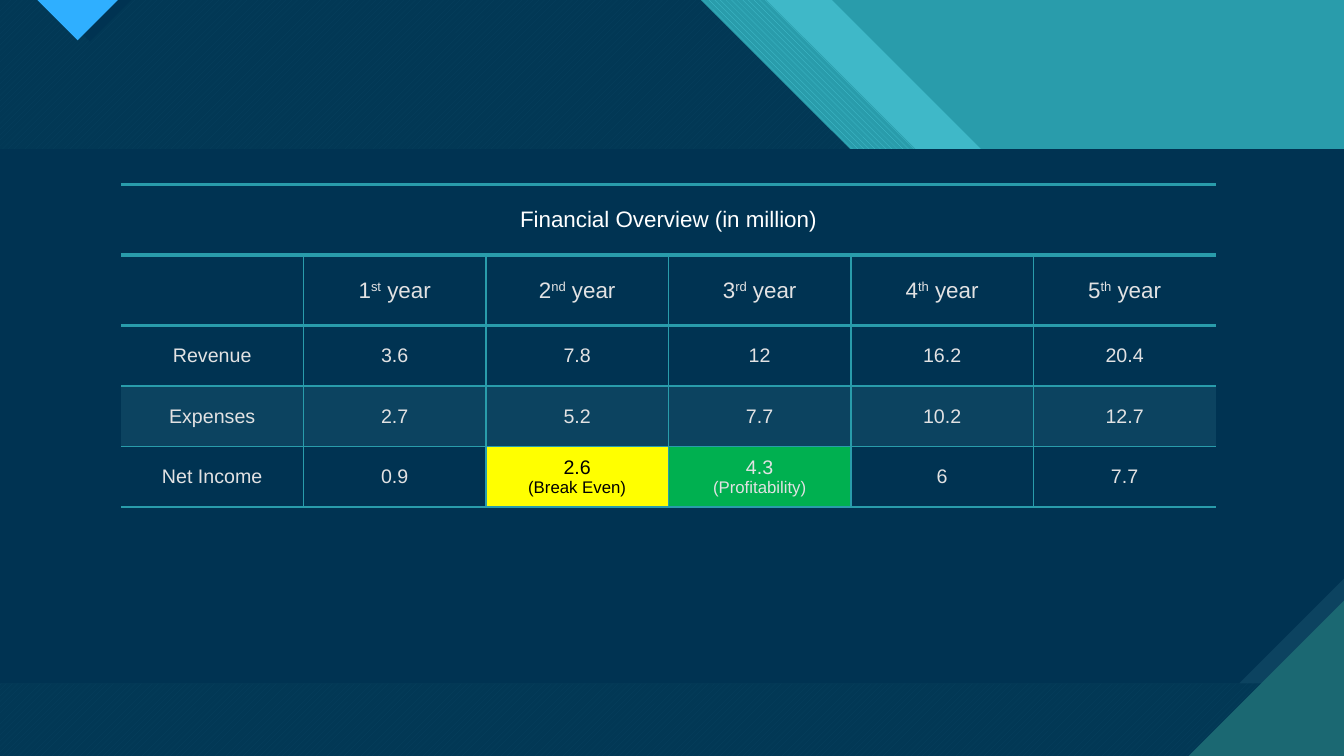
from lxml.etree import SubElement
from pptx import Presentation
from pptx.dml.color import RGBColor as RGB
from pptx.enum.dml import MSO_PATTERN as Pat
from pptx.enum.text import MSO_ANCHOR as Anchor, PP_ALIGN as Align
from pptx.oxml import parse_xml
from pptx.oxml.ns import nsdecls, qn
from pptx.util import Inches, Pt

W, H = 13.33, 7.5
INK = {"teal": "299CAB", "light": "47C3D3", "deep": "1B6872", "navy": "003352",
       "band": "0C4360", "blue": "2FAFFF", "white": "FFFFFF", "pale": "E2E2E3",
       "black": "000000", "yellow": "FFFF00", "green": "00B050"}
INK = {name: RGB.from_string(code) for name, code in INK.items()}

deck = Presentation()
deck.slide_width, deck.slide_height = Inches(W), Inches(H)
slide = deck.slides.add_slide(deck.slide_layouts[6])
back = slide.background.fill
back.solid()
back.fore_color.rgb = INK["teal"]


def draw(points, color, alpha=100, pattern=None, under=None):
    """Fill a closed outline, given in inches, with a colour or a pattern."""
    dots = [(Inches(x), Inches(y)) for x, y in points]
    pen = slide.shapes.build_freeform(*dots[0])
    pen.add_line_segments(dots[1:], close=True)
    shape = pen.convert_to_shape()
    shape.shadow.inherit = False
    shape.line.fill.background()
    if pattern:
        shape.fill.patterned()
        shape.fill.pattern = pattern
        shape.fill.back_color.rgb = INK[under]
    else:
        shape.fill.solid()
    shape.fill.fore_color.rgb = INK[color]
    if alpha < 100:
        tone = shape.fill._xPr.find(".//" + qn("a:srgbClr"))
        SubElement(tone, qn("a:alpha")).set("val", str(alpha * 1000))


# Slanted layers: each edge falls at 45 degrees from the top, then from a ledge
LEDGE = 2.97
layers = [(8.25, 12.34, ("light", 74)),
          (7.6, 11.84, ("light", 100, Pat.WIDE_DOWNWARD_DIAGONAL, "teal")),
          (6.95, 11.18, ("light", 100, Pat.WIDE_UPWARD_DIAGONAL, "deep")),
          (6.95, 11.18, ("navy", 90))]
for top, turn, paint in layers:
    draw([(0, 0), (top, 0), (top + LEDGE, LEDGE), (turn, LEDGE),
          (W, LEDGE + W - turn), (W, H), (0, H)], *paint)

# Marker at the top left, with its dark edge
for left, half, color in [(0.48, 0.41, "navy"), (0.37, 0.4, "blue")]:
    draw([(left, 0), (left + half, half), (left + 2 * half, 0)], color)

# Content panel, snipped at the bottom right, and the corner
TOP, END = 1.48, 6.78
for snip, color in [(0, "band"), (1.04, "navy")]:
    draw([(0, TOP), (W, TOP), (W, END - snip), (W - snip, END), (0, END)], color)
CORNER = 1.54
draw([(W - CORNER, H), (W, H), (W, H - CORNER)], "deep")

# Financial table: "^" encloses a superscript, a line break starts a note
rows = [["Financial Overview (in million)"] + [""] * 5,
        ["", "1^st^ year", "2^nd^ year", "3^rd^ year", "4^th^ year", "5^th^ year"],
        ["Revenue", "3.6", "7.8", "12", "16.2", "20.4"],
        ["Expenses", "2.7", "5.2", "7.7", "10.2", "12.7"],
        ["Net Income", "0.9", "2.6\n(Break Even)", "4.3\n(Profitability)", "6", "7.7"]]
tall = [0.7, 0.7, 0.6, 0.6, 0.6]
rules = [3, 3, 3, 1, 1, 1]
COL, LAST = 1.81, 5
fills = {(3, c): "band" for c in range(LAST + 1)}
fills.update({(4, 2): "yellow", (4, 3): "green"})

table = slide.shapes.add_table(len(rows), LAST + 1, Inches(1.2), Inches(1.83),
                               Inches(COL * 6), Inches(sum(tall))).table
table.first_row = table.horz_banding = False
for col in table.columns:
    col.width = Inches(COL)
for r, row in enumerate(rows):
    table.rows[r].height = Inches(tall[r])
    for c, text in enumerate(row):
        cell = table.cell(r, c)
        cell.vertical_anchor = Anchor.MIDDLE
        if (r, c) in fills:
            cell.fill.solid()
            cell.fill.fore_color.rgb = INK[fills[r, c]]
        else:
            cell.fill.background()

        edges = {"L": int(r > 0 and c > 0), "R": int(r > 0 and c < LAST),
                 "T": rules[r], "B": rules[r + 1]}
        props = cell._tc.get_or_add_tcPr()
        for spot, (side, width) in enumerate(edges.items()):
            fill = (f'<a:solidFill><a:srgbClr val="{INK["teal"]}"/></a:solidFill>'
                    if width else "<a:noFill/>")
            props.insert(spot, parse_xml(
                f'<a:ln{side} {nsdecls("a")} w="{Pt(width)}">{fill}</a:ln{side}>'))

        frame = cell.text_frame
        for n, line in enumerate(text.split("\n")):
            para = frame.add_paragraph() if n else frame.paragraphs[0]
            para.alignment = Align.CENTER
            font = para.font
            font.name = "Arial"
            font.size = Pt(12 if n else 16 if r < 2 else 14)
            font.color.rgb = INK["white" if r == 0 else
                                 "black" if (r, c) == (4, 2) else "pale"]
            for k, part in enumerate(line.split("^")):
                if part:
                    run = para.add_run()
                    run.text = part
                    if k % 2:
                        run.font._element.set("baseline", "30000")
table.cell(0, 0).merge(table.cell(0, LAST))

deck.save("out.pptx")
